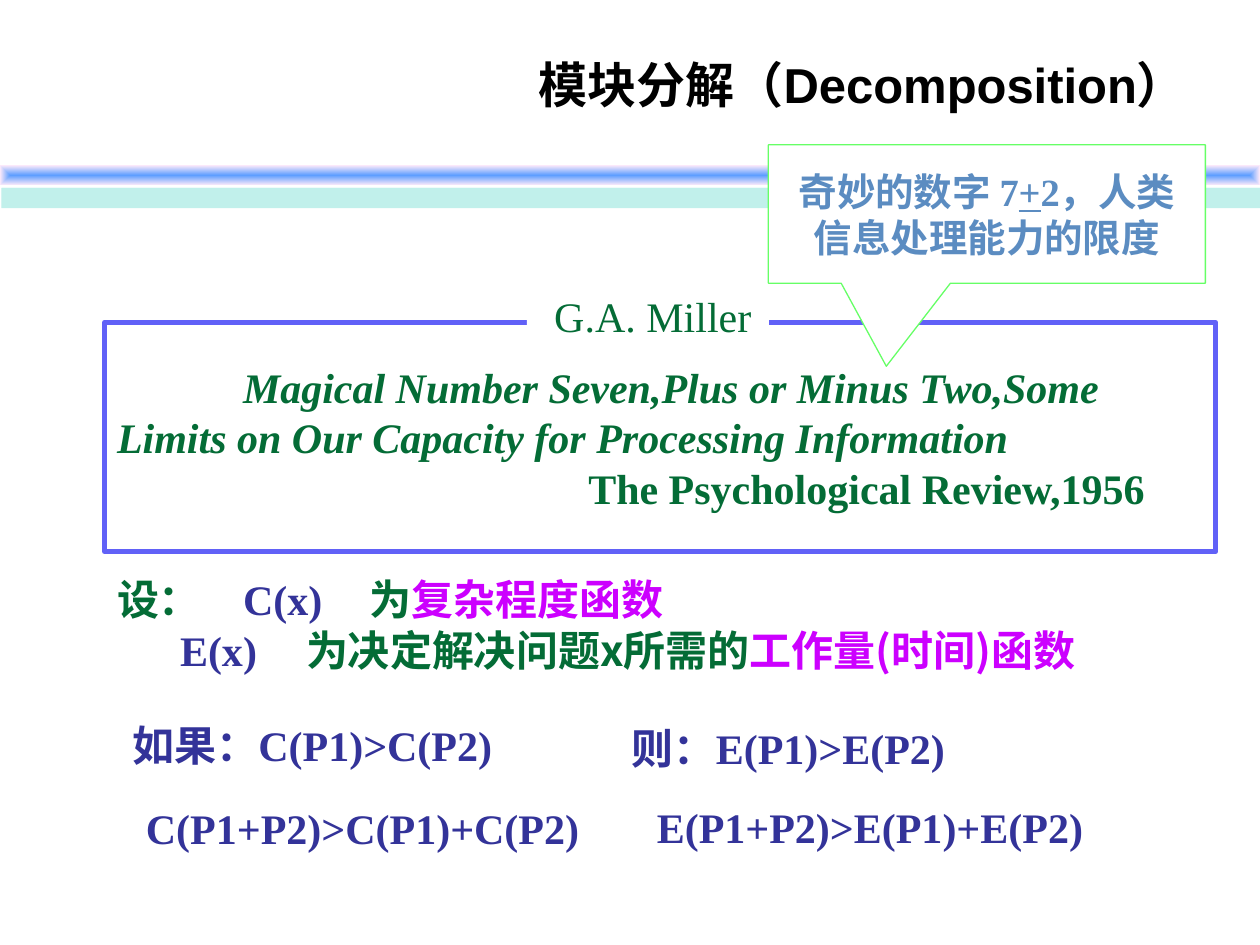
from dataclasses import dataclass

from lxml.etree import SubElement
from pptx import Presentation
from pptx.dml.color import RGBColor
from pptx.enum.shapes import MSO_SHAPE
from pptx.enum.text import MSO_ANCHOR, PP_ALIGN
from pptx.oxml import parse_xml
from pptx.oxml.ns import nsdecls, qn
from pptx.util import Cm, Pt


@dataclass(frozen=True)
class Theme:
    sans: str = "Arial"
    serif: str = "Times New Roman"
    cjk: str = "Noto Sans CJK SC"
    title_size: int = 28
    body_size: int = 24
    callout_size: int = 22
    black: str = "000000"
    white: str = "FFFFFF"
    green: str = "046C36"
    navy: str = "333399"
    magenta: str = "CC00FF"
    steel: str = "5B8CC1"
    frame: str = "6161F7"
    callout_line: str = "66FF66"
    band_middle: str = "5E9EFF"
    band_edge: str = "FFEBFA"
    band_shadow: str = "84E2D9"


T = Theme()


def rgb(value):
    return RGBColor.from_string(value)


def add_run(p, text, size=T.body_size, font=T.serif, color=T.navy,
            bold=True, italic=False, underline=False):
    r = p.add_run()
    r.text = text
    f = r.font
    f.size, f.name = Pt(size), font
    f.bold, f.italic, f.underline = bold, italic, underline
    f.color.rgb = rgb(color)
    SubElement(r._r.get_or_add_rPr(), qn("a:ea"), typeface=T.cjk)


class Deck:
    def __init__(self, theme):
        self.theme = theme
        self.prs = Presentation()
        self.prs.slide_width, self.prs.slide_height = Cm(25.4), Cm(19.05)
        self.s = self.prs.slides.add_slide(self.prs.slide_layouts[5])

    def title(self, text, at):
        sp = self.s.shapes.title
        sp.left, sp.top, sp.width, sp.height = map(Cm, at)
        tf = sp.text_frame
        tf.vertical_anchor = MSO_ANCHOR.MIDDLE
        p = tf.paragraphs[0]
        p.alignment = PP_ALIGN.RIGHT
        add_run(p, text, size=self.theme.title_size, font=self.theme.sans,
                color=self.theme.black)

    def shape(self, at, kind=MSO_SHAPE.RECTANGLE, line=None, width=1):
        sp = self.s.shapes.add_shape(kind, *map(Cm, at))
        sp.shadow.inherit = False
        sp.fill.solid()
        sp.fill.fore_color.rgb = rgb(self.theme.white)
        if line:
            sp.line.color.rgb = rgb(line)
            sp.line.width = Pt(width)
        else:
            sp.line.fill.background()
        return sp

    def band(self, at):
        sp = self.shape(at)
        sp.fill.gradient()
        colors = (self.theme.band_middle, self.theme.band_edge)
        for position, (stop, color) in enumerate(zip(sp.fill.gradient_stops, colors)):
            stop.position = position
            stop.color.rgb = rgb(color)
        spPr = sp._element.spPr
        grad = spPr.find(qn("a:gradFill"))
        grad.replace(grad.find(qn("a:lin")), parse_xml(
            f'<a:path {nsdecls("a")} path="rect">'
            '<a:fillToRect l="50000" t="50000" r="50000" b="50000"/></a:path>'))
        spPr.find(qn("a:effectLst")).append(parse_xml(
            f'<a:outerShdw {nsdecls("a")} dist="{Pt(13)}" dir="{86 * 60000}" '
            f'algn="ctr" rotWithShape="0"><a:srgbClr val="{self.theme.band_shadow}">'
            '<a:alpha val="50000"/></a:srgbClr></a:outerShdw>'))

    def box(self, at, *paragraphs, align=PP_ALIGN.CENTER, wrap=True, inset=0.25, **look):
        sp = self.shape(at, **look)
        tf = sp.text_frame
        tf.word_wrap = wrap
        tf.vertical_anchor = MSO_ANCHOR.MIDDLE
        tf.margin_left, tf.margin_right = Cm(inset), Cm(0.25)
        tf.margin_top = tf.margin_bottom = Cm(0.13)
        for i, (runs, layout) in enumerate(paragraphs):
            p = tf.add_paragraph() if i else tf.paragraphs[0]
            p.alignment = align
            self.indent(p, **layout)
            for text, style in runs:
                add_run(p, text, **style)
        return sp

    def indent(self, p, left=0, first=0, tabs=()):
        pPr = p._p.get_or_add_pPr()
        pPr.set("marL", str(Cm(left)))
        pPr.set("indent", str(Cm(first)))
        if tabs:
            tab_list = SubElement(pPr, qn("a:tabLst"))
            for pos in tabs:
                SubElement(tab_list, qn("a:tab"), pos=str(Cm(pos)), algn="l")

    def formula(self, text, at):
        self.box(at, ([(text, {})], {}), wrap=False)

    def callout(self, at, runs, tip):
        sp = self.box(at, (runs, {}), kind=MSO_SHAPE.RECTANGULAR_CALLOUT,
                      line=self.theme.callout_line, width=0.75)
        sp.adjustments[0], sp.adjustments[1] = tip


def main():
    green, magenta = {"color": T.green}, {"color": T.magenta}
    green_cjk = {"color": T.green, "font": T.cjk}
    magenta_cjk = {"color": T.magenta, "font": T.cjk}
    note = {"color": T.steel, "size": T.callout_size}

    deck = Deck(T)
    deck.title("模块分解（Decomposition）", (1.3, 0.97, 22.86, 1.45))
    deck.band((0, 3.33, 25.4, 0.41))

    deck.box((2.11, 11.53, 22, 2.11),
             ([("设：", green), ("\tC(x)\t", {}), ("为", green),
               ("复杂程度函数", magenta)], {"tabs": (2.08, 4.52)}),
             ([("\tE(x)\t", {}), ("为决定解决问题x所需的", green_cjk),
               ("工作量(时间)函数", magenta_cjk)], {"tabs": (1.9, 4.3)}),
             align=PP_ALIGN.LEFT)

    for text, at in (
        ("如果：C(P1)>C(P2)", (2.69, 14.48, 7.21, 1.07)),
        ("则：E(P1)>E(P2)", (12.9, 14.53, 5.99, 1.07)),
        ("C(P1+P2)>C(P1)+C(P2)", (3.18, 16.05, 8.26, 1.27)),
        ("E(P1+P2)>E(P1)+E(P2)", (13.41, 15.93, 8.26, 1.47)),
    ):
        deck.formula(text, at)

    deck.box((2.11, 6.5, 22.4, 4.62),
             ([("Magical Number Seven,Plus or Minus Two,Some Limits on Our "
                "Capacity for Processing Information", {**green, "italic": True})],
              {"first": 2.54}),
             ([("The Psychological Review,1956", green)], {"left": 9.5}),
             align=PP_ALIGN.LEFT, line=T.frame, width=3)
    deck.box((10.62, 5.72, 4.88, 1.3),
             ([("G.A. Miller", {**green, "bold": False})], {}), inset=0.45)
    deck.callout((15.49, 2.92, 8.81, 2.79),
                 [("奇妙的数字 7", note), ("+", {**note, "underline": True}),
                  ("2，人类信息处理能力的限度", note)], tip=(-0.23, 1.1))

    deck.prs.save("out.pptx")


if __name__ == "__main__":
    main()
